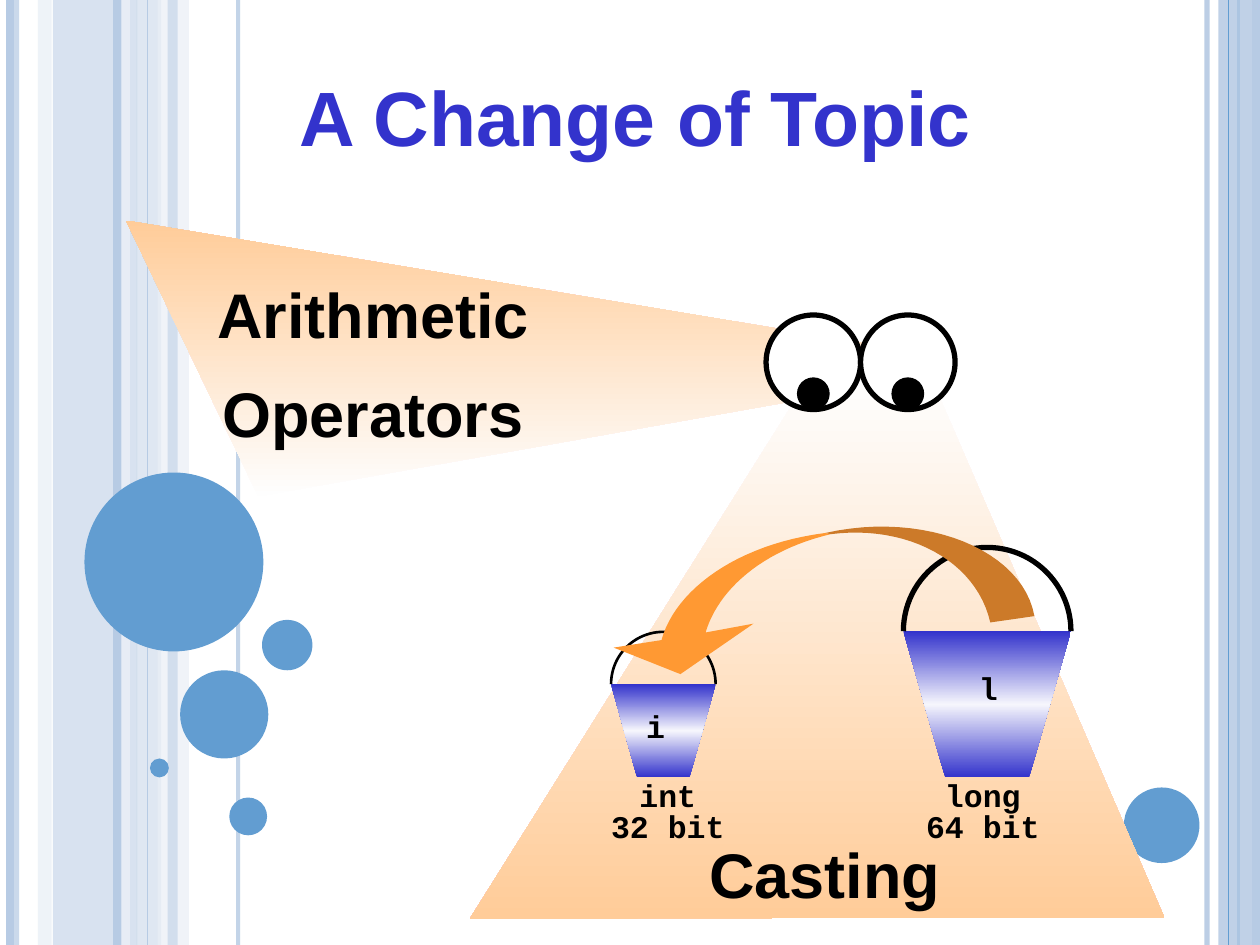
from copy import deepcopy
from dataclasses import dataclass

from lxml import etree
from pptx import Presentation
from pptx.dml.color import RGBColor
from pptx.enum.shapes import MSO_CONNECTOR, MSO_SHAPE
from pptx.enum.text import MSO_ANCHOR, MSO_AUTO_SIZE, PP_ALIGN
from pptx.oxml.ns import qn
from pptx.util import Inches, Pt

RECT, OVAL, ARC = MSO_SHAPE.RECTANGLE, MSO_SHAPE.OVAL, MSO_SHAPE.ARC
STRAIGHT = MSO_CONNECTOR.STRAIGHT
LEFT, CENTER = PP_ALIGN.LEFT, PP_ALIGN.CENTER
TOP = MSO_ANCHOR.TOP
NO_AUTOFIT = MSO_AUTO_SIZE.NONE


@dataclass(frozen=True)
class Theme:
    """Colours, fonts and type sizes of the slide."""
    blue: str = "629DD1"
    stripe: str = "B7CBE4"
    pale: str = "D2DEED"
    paler: str = "EAEFF6"
    white: str = "FFFFFF"
    black: str = "000000"
    title: str = "3333CC"
    glow: str = "FEFEFE"
    beam: str = "FFCC99"
    shine: str = "F6F6FC"
    arrow: str = "FF9933"
    arrow_shade: str = "CC7A29"
    sans: str = "Arial"
    mono: str = "Courier New"
    title_size: int = 44
    topic_size: int = 36
    label_size: int = 18


THEME = Theme()

STRIPES = (
    ("rule", 9.58, 3, THEME.stripe, 93),
    ("rule", 0.08, 4.5, THEME.stripe, 100),
    ("rule", 9.83, 1.5, THEME.blue, 100),
    ("band", 9.67, 0.33, THEME.stripe, 87),
    ("rule", 9.75, 0.75, THEME.blue, 100),
    ("band", 0.42, 0.67, THEME.stripe, 54),
    ("band", 0.3, 0.11, THEME.pale, 36),
    ("band", 1.08, 0.2, THEME.pale, 70),
    ("band", 1.25, 0.25, THEME.paler, 71),
    ("rule", 0.12, 4.5, THEME.stripe, 73),
    ("rule", 1, 4.5, THEME.paler, 83),
    ("rule", 0.93, 4.5, THEME.stripe, 100),
    ("rule", 1.89, 2.25, THEME.stripe, 82),
    ("rule", 1.17, 0.75, THEME.stripe, 100),
    ("rule", 9.97, 4.5, THEME.stripe, 100),
    ("band", 1.33, 0.08, THEME.stripe, 51),
)
BUBBLES = ((8.92, 6.25, 0.6), (0.67, 3.75, 1.42), (1.43, 5.32, 0.7),
           (1.19, 6.02, 0.15), (1.82, 6.33, 0.3), (2.08, 4.92, 0.4))


def inches(values):
    """Convert a sequence of numbers to lengths."""
    return [Inches(value) for value in values]


def set_alpha(part, percent):
    """Make the colours of a shape or connector partly transparent."""
    if percent < 100:
        for color in part._element.spPr.iter(qn("a:srgbClr")):
            etree.SubElement(color, qn("a:alpha")).set("val", str(percent * 1000))


def paint(shape, fill=None, line=None, weight=0.75):
    """Give a shape a flat fill and outline, without shadow."""
    shape.shadow.inherit = False
    if fill:
        shape.fill.solid()
        shape.fill.fore_color.rgb = RGBColor.from_string(fill)
    else:
        shape.fill.background()
    if line:
        shape.line.color.rgb = RGBColor.from_string(line)
        shape.line.width = Pt(weight)
    else:
        shape.line.fill.background()


def paint_gradient(shape, colors, angle):
    """Fill a shape with evenly spaced gradient colours."""
    shape.fill.gradient()
    shape.fill.gradient_angle = angle
    stop_list = shape._element.spPr.find(".//" + qn("a:gsLst"))
    for _ in colors[2:]:
        stop_list.append(deepcopy(stop_list[0]))
    for index, (stop, color) in enumerate(zip(shape.fill.gradient_stops, colors)):
        stop.color.rgb = RGBColor.from_string(color)
        stop.position = index / (len(colors) - 1)


def add_preset(slide, kind, box, **style):
    """Add a painted preset shape."""
    shape = slide.shapes.add_shape(kind, *inches(box))
    paint(shape, **style)
    return shape


def add_outline(slide, box, points, fill=None):
    """Add a closed outline whose points are offsets from the box corner."""
    corners = [inches((box[0] + x, box[1] + y)) for x, y in points]
    builder = slide.shapes.build_freeform(*corners[0], scale=1.0)
    builder.add_line_segments(corners[1:], close=True)
    shape = builder.convert_to_shape()
    paint(shape, fill)
    return shape


def curve(start, pull_out, pull_in, end, steps=24):
    """Return points along a cubic curve."""
    return [tuple((1 - t) ** 3 * a + 3 * (1 - t) ** 2 * t * b
                  + 3 * (1 - t) * t ** 2 * c + t ** 3 * d
                  for a, b, c, d in zip(start, pull_out, pull_in, end))
            for t in (step / steps for step in range(steps + 1))]


def write(frame, *lines, size, font=THEME.sans, color=THEME.black, align=CENTER,
          spacing=1.0, before=0, wrap=True):
    """Write bold lines of text into a text frame."""
    frame.word_wrap = wrap
    frame.auto_size = NO_AUTOFIT
    frame.vertical_anchor = TOP
    for index, line in enumerate(lines):
        paragraph = frame.add_paragraph() if index else frame.paragraphs[0]
        paragraph.alignment = align
        paragraph.line_spacing = spacing
        paragraph.space_before = Pt(before)
        run = paragraph.add_run()
        run.text = line
        run.font.size, run.font.name, run.font.bold = Pt(size), font, True
        run.font.color.rgb = RGBColor.from_string(color)


def add_text(slide, box, *lines, **style):
    """Add a text box."""
    write(slide.shapes.add_textbox(*inches(box)).text_frame, *lines, **style)


def add_background(slide, box):
    """Draw the striped margins and the bubbles."""
    left, top, _, height = box
    for kind, x, thickness, color, alpha in STRIPES:
        if kind == "band":
            stripe = add_preset(slide, RECT, (left + x, top, thickness, height), fill=color)
        else:
            ends = inches((left + x, top, left + x, top + height))
            stripe = slide.shapes.add_connector(STRAIGHT, *ends)
            stripe.line.color.rgb = RGBColor.from_string(color)
            stripe.line.width = Pt(thickness)
            etree.SubElement(stripe._element.spPr, qn("a:effectLst"))
        set_alpha(stripe, alpha)
    for x, y, size in BUBBLES:
        add_preset(slide, OVAL, (left + x, top + y, size, size), fill=THEME.blue)


def add_title(slide, box):
    """Place and format the title."""
    title = slide.shapes.title
    title.left, title.top, title.width, title.height = inches(box)
    write(title.text_frame, "A Change of Topic", size=THEME.title_size,
          color=THEME.title, before=27.5)


def add_beam(slide, box, points, angle):
    """Draw a beam of sight that fades to white."""
    paint_gradient(add_outline(slide, box, points), (THEME.glow, THEME.beam), angle)


def add_eyes(slide, box):
    """Draw two eyes that look down."""
    left, top, width, _ = box
    size = width / 2
    pupil = size / 3
    for x in (left, left + size):
        add_preset(slide, OVAL, (x, top, size, size),
                   fill=THEME.white, line=THEME.black, weight=3)
        add_preset(slide, OVAL, (x + pupil, top + 2 * pupil, pupil, pupil),
                   fill=THEME.black, line=THEME.black)


def add_bucket(slide, box, letter, letter_at, lines, label_left, weight):
    """Draw a bucket with its handle, letter and size label."""
    left, top, width, height = box
    rim = ((0, 0), (width, 0), (width * 0.75, height), (width * 0.25, height))
    paint_gradient(add_outline(slide, box, rim),
                   (THEME.title, THEME.shine, THEME.title), 90)
    handle = add_preset(slide, ARC, (left, top - width / 2, width, width),
                        line=THEME.black, weight=weight)
    handle.adjustments[0], handle.adjustments[1] = 108, 0
    style = dict(size=THEME.label_size, font=THEME.mono, wrap=False)
    add_text(slide, (label_left, top + height, 1.1, 0.58), *lines, spacing=0.8, **style)
    add_text(slide, (*letter_at, 0.35, 0.4), letter, align=LEFT, **style)


def add_cast_arrow(slide, box):
    """Draw the curved arrow from the long bucket to the int bucket."""
    outer, inner = (1.68, 0.06), (1.72, 0.07)
    head = [(0, 0.97), (0.53, 1.18), (1.11, 0.78)]
    front = (curve(outer, (0.98, 0.15), (0.49, 0.51), (0.38, 0.91)) + head
             + curve((0.73, 0.85), (0.83, 0.51), (1.18, 0.2), inner))
    tail = (curve(outer, (2.48, -0.12), (3.25, 0.2), (3.34, 0.72))
            + curve((2.99, 0.77), (2.88, 0.28), (2.33, -0.01), inner))
    add_outline(slide, box, tail, fill=THEME.arrow_shade)
    add_outline(slide, box, front, fill=THEME.arrow)


def main():
    """Build and save the slide."""
    deck = Presentation()
    deck.slide_width, deck.slide_height = inches((10, 7.5))
    slide = deck.slides.add_slide(deck.slide_layouts[5])
    topic = dict(size=THEME.topic_size, before=22.5)
    add_background(slide, (0, 0, 10, 7.5))
    add_title(slide, (1.92, 0.5, 6.25, 0.84))
    add_beam(slide, (1, 1.75), ((0, 0), (6.27, 1.04), (6.27, 1.26), (1.05, 2.19)), 90)
    add_text(slide, (0.5, 2.25, 4.92, 1.37), "Arithmetic", "Operators", spacing=0.8, **topic)
    add_beam(slide, (3.73, 3), ((0, 4.29), (5.51, 4.28), (3.67, 0.02), (2.69, 0)), 270)
    add_eyes(slide, (6.08, 2.5, 1.5, 0.75))
    add_text(slide, (3.92, 6.58, 5.25, 0.7), "Casting", **topic)
    add_bucket(slide, (7.17, 5.01, 1.33, 1.16), "l", (7.67, 5.26),
               ("long", "64 bit"), 7.25, 3)
    add_bucket(slide, (4.85, 5.43, 0.83, 0.74), "i", (5.03, 5.56),
               ("int", "32 bit"), 4.75, 1.5)
    add_cast_arrow(slide, (4.87, 4.17))
    deck.save("out.pptx")


if __name__ == "__main__":
    main()
